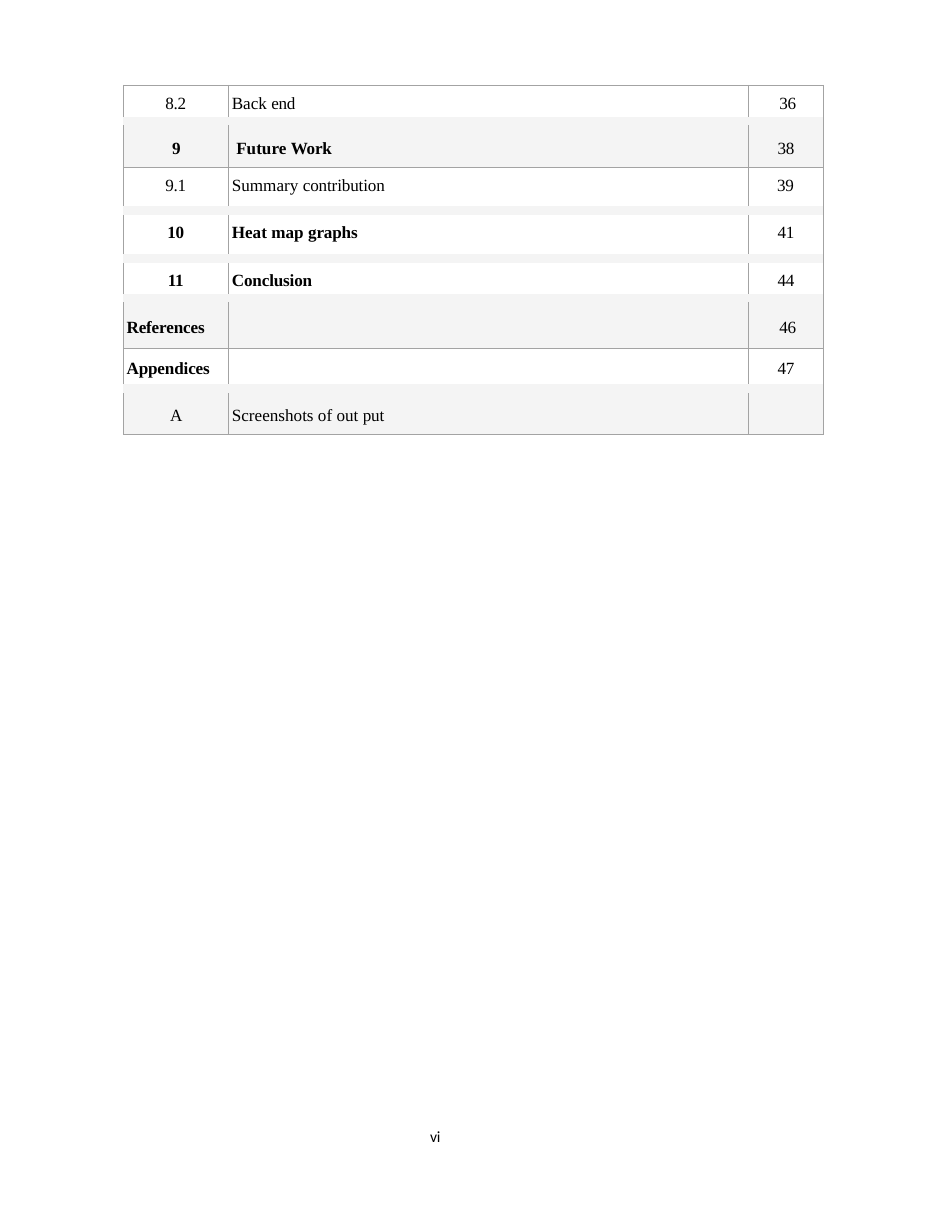
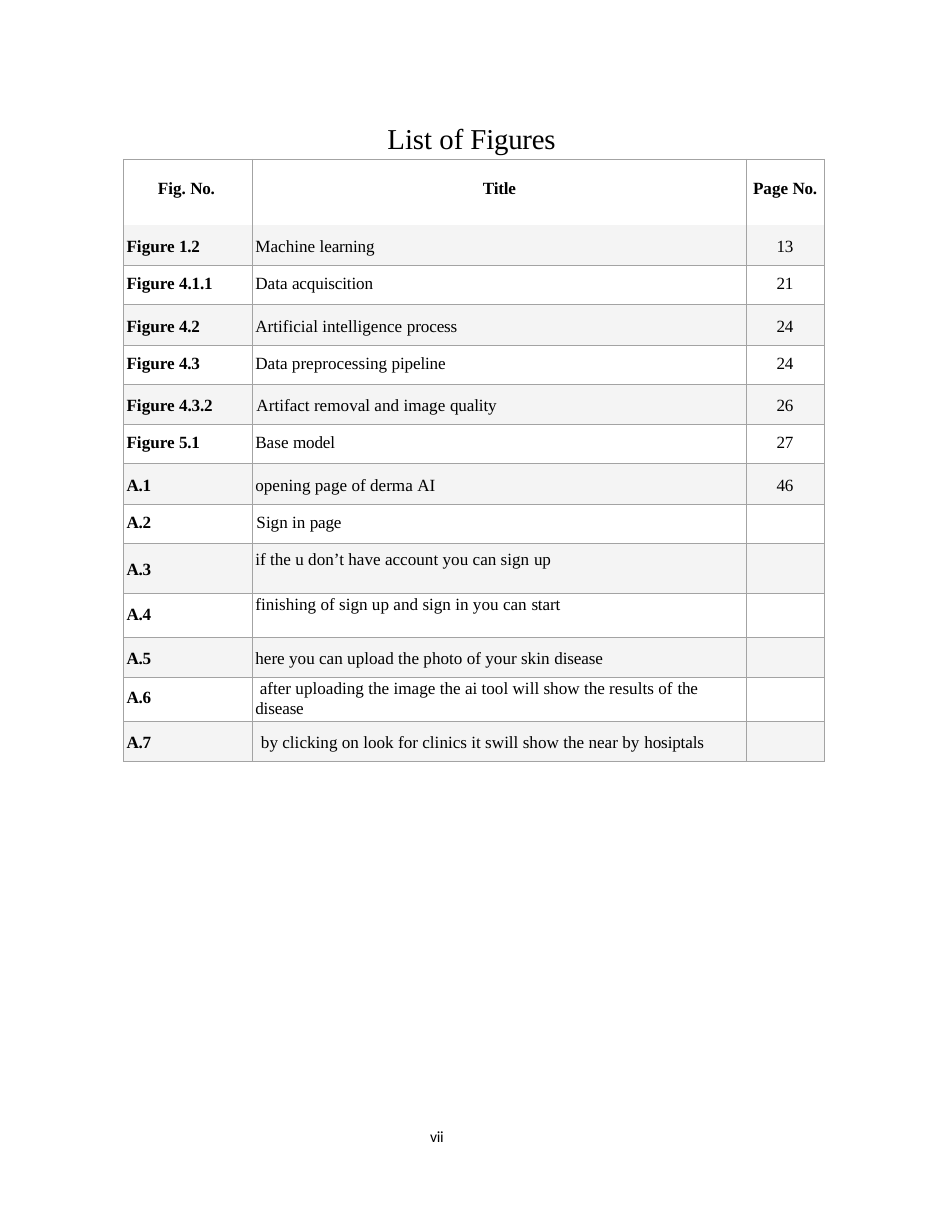
from dataclasses import dataclass
from typing import Any, NamedTuple, Optional

import lxml.etree
import pptx
import pptx.dml.color
import pptx.enum.text
import pptx.oxml.ns
import pptx.util

PX = 9144  # 100 px to the inch


class Line(NamedTuple):
    tint: str
    width: float


@dataclass(frozen=True)
class Theme:
    ink: str = "000000"
    rule: str = "A3A3A3"
    band: str = "F4F4F4"
    serif: str = "Times New Roman"
    sans: str = "Calibri"
    body: float = 11
    head: float = 18.5
    foot: float = 10


LOOK = Theme()
THIN = Line(LOOK.rule, 0.25)
BAND = Line(LOOK.band, 6)


class Cell(NamedTuple):
    text: str = ""
    dent: int = 3
    bold: bool = False
    mid: bool = False
    inset: Optional[int] = None
    lead: float = 0


class Row(NamedTuple):
    high: int
    inset: int
    cells: tuple[Cell, ...]
    shade: bool = False
    base: Optional[Line] = THIN


class Box(NamedTuple):
    left: int
    top: int
    width: int
    high: int


def px(size: int) -> int:
    return size * PX


def rgb(tint: str) -> pptx.dml.color.RGBColor:
    return pptx.dml.color.RGBColor.from_string(tint)


def apply(item: Any, form: dict[str, Any]) -> None:
    for key, value in form.items():
        setattr(item, key, value)


def add_node(root: Any, tag: str, **marks: str) -> Any:
    return lxml.etree.SubElement(root, pptx.oxml.ns.qn(tag), **marks)


# Text
def tight(word: str) -> str:
    """Letter spacing of a closing word, in hundredths of a point."""
    if len(word) == 1:
        return "-50"
    return "-10" if len(word) > 4 else "-20"


def add_run(para: Any, text: str, form: dict[str, Any], gap: str) -> None:
    run = para.add_run()
    run.text = text
    apply(run.font, form)
    run.font.color.rgb = rgb(LOOK.ink)
    run._r.get_or_add_rPr().set("spc", gap)


def write(frame: Any, cell: Cell, size: float = LOOK.body, face: str = LOOK.serif) -> None:
    form = {"size": pptx.util.Pt(size), "name": face, "bold": cell.bold}
    align = pptx.enum.text.PP_ALIGN
    for place, text in enumerate(cell.text.split("\n")):
        para = frame.add_paragraph() if place else frame.paragraphs[0]
        para.alignment = align.CENTER if cell.mid else align.LEFT
        if cell.lead:
            para.line_spacing = pptx.util.Pt(cell.lead)
        dent = 3 if place else cell.dent
        para._p.get_or_add_pPr().set("marL", str(px(dent)))
        if not text:
            add_node(para._p, "a:endParaRPr", sz=str(int(size * 100)))
            continue
        start, space, last = text.rpartition(" ")
        if start:
            add_run(para, start + space, form, "0")
        add_run(para, last, form, tight(last))


def add_text(slide: Any, box: Box, cell: Cell, size: float, face: str) -> None:
    frame = slide.shapes.add_textbox(*map(px, box)).text_frame
    apply(frame, {"word_wrap": True, "margin_left": 0, "margin_right": 0,
                  "margin_top": px(cell.inset or 0), "margin_bottom": 0})
    write(frame, cell, size, face)


def add_foot(slide: Any, mark: str) -> None:
    add_text(slide, Box(190, 1008, 402, 35), Cell(mark, 194, lead=10.8),
             LOOK.foot, LOOK.sans)


# Tables
def set_edges(cell: Any, top: Optional[Line], base: Optional[Line]) -> None:
    props = cell._tc.get_or_add_tcPr()
    sides = {"a:lnL": THIN, "a:lnR": THIN, "a:lnT": top, "a:lnB": base}
    for place, (tag, line) in enumerate(sides.items()):
        width = pptx.util.Pt(line.width) if line else 0
        edge = add_node(props, tag, w=str(int(width)))
        if line:
            add_node(add_node(edge, "a:solidFill"), "a:srgbClr", val=line.tint)
        else:
            add_node(edge, "a:noFill")
        props.insert(place, edge)


def add_grid(slide: Any, left: int, top: int, wides: list[int], rows: list[Row]) -> None:
    box = Box(left, top, sum(wides), sum(row.high for row in rows))
    grid = slide.shapes.add_table(len(rows), len(wides), *map(px, box)).table
    apply(grid, {"first_row": False, "horz_banding": False})
    for column, wide in zip(grid.columns, wides):
        column.width = px(wide)
    above: Optional[Line] = THIN
    for y, row in enumerate(rows):
        grid.rows[y].height = px(row.high)
        for x, item in enumerate(row.cells):
            cell = grid.cell(y, x)
            inset = row.inset if item.inset is None else item.inset
            apply(cell, {"margin_left": 0, "margin_right": 0, "margin_bottom": 0,
                         "margin_top": px(inset if item.text else 0)})
            if row.shade:
                cell.fill.solid()
                cell.fill.fore_color.rgb = rgb(LOOK.band)
            else:
                cell.fill.background()
            set_edges(cell, above, row.base)
            write(cell.text_frame, item)
        above = row.base


def mid(text: str, bold: bool = False, dent: int = 0) -> Cell:
    return Cell(text, dent, bold, True)


def bold(text: str, dent: int = 3, inset: Optional[int] = None) -> Cell:
    return Cell(text, dent, True, inset=inset)


# Contents, last part
PARTS = [
    Row(32, 8, (mid("8.2"), Cell("Back end"), mid("36", dent=4)), base=BAND),
    Row(41, 16, (mid("9", True, 1), bold("Future Work", 7), mid("38", dent=1)), True),
    Row(39, 8, (mid("9.1"), Cell("Summary contribution"), mid("39")), base=BAND),
    Row(43, 11, (mid("10", True), bold("Heat map graphs"), mid("41", dent=1)), base=BAND),
    Row(35, 11, (mid("11", True), bold("Conclusion"), mid("44", dent=1)), base=BAND),
    Row(45, 18, (bold("References"), Cell(), mid("46", dent=4)), True),
    Row(36, 10, (bold("Appendices"), Cell(), mid("47", dent=1)), base=BAND),
    Row(41, 16, (mid("A", dent=1), Cell("Screenshots of out put"), Cell()), True),
]


# List of figures
class Figure(NamedTuple):
    name: str
    title: Cell
    page: str = ""
    high: int = 0
    inset: int = 0


FIGURES = [
    Figure("Figure 1.2", Cell("Machine learning"), "13"),
    Figure("Figure 4.1.1", Cell("Data acquiscition"), "21"),
    Figure("Figure 4.2", Cell("Artificial intelligence process"), "24"),
    Figure("Figure 4.3", Cell("Data preprocessing pipeline"), "24"),
    Figure("Figure 4.3.2", Cell("Artifact removal and image quality", 4), "26"),
    Figure("Figure 5.1", Cell("Base model"), "27"),
    Figure("A.1", Cell("opening page of derma AI"), "46"),
    Figure("A.2", Cell("Sign in page", 4)),
    Figure("A.3", Cell("if the u don’t have account you can sign up", inset=6),
           high=45, inset=15),
    Figure("A.4", Cell("finishing of sign up and sign in you can start", inset=0, lead=13),
           high=39, inset=10),
    Figure("A.5", Cell("here you can upload the photo of your skin disease")),
    Figure("A.6", Cell("after uploading the image the ai tool will show the results of the"
                       "\ndisease", 7, inset=0, lead=13.1), high=39, inset=10),
    Figure("A.7", Cell("by clicking on look for clinics it swill show the near by hosiptals", 8)),
]


def list_rows() -> list[Row]:
    rows = [Row(59, 18, (bold("Fig. No.", 31), mid("Title", True, 1),
                         mid("Page No.", True)), base=None)]
    for place, item in enumerate(FIGURES):
        shade = place % 2 == 0
        high, inset = (36, 11) if shade else (35, 8)
        cells = (bold(item.name), item.title, mid(item.page))
        rows.append(Row(item.high or high, item.inset or inset, cells, shade))
    return rows


def main() -> None:
    deck = pptx.Presentation()
    apply(deck, {"slide_width": px(850), "slide_height": px(1100)})
    blank = deck.slide_layouts[6]

    slide = deck.slides.add_slide(blank)
    add_foot(slide, "vi")
    add_grid(slide, 110, 76, [94, 464, 67], PARTS)

    slide = deck.slides.add_slide(blank)
    add_foot(slide, "vii")
    add_text(slide, Box(345, 106, 156, 34), Cell("List of Figures", 1, inset=2),
             LOOK.head, LOOK.serif)
    add_grid(slide, 110, 142, [115, 441, 70], list_rows())

    deck.save("out.pptx")


if __name__ == "__main__":
    main()
